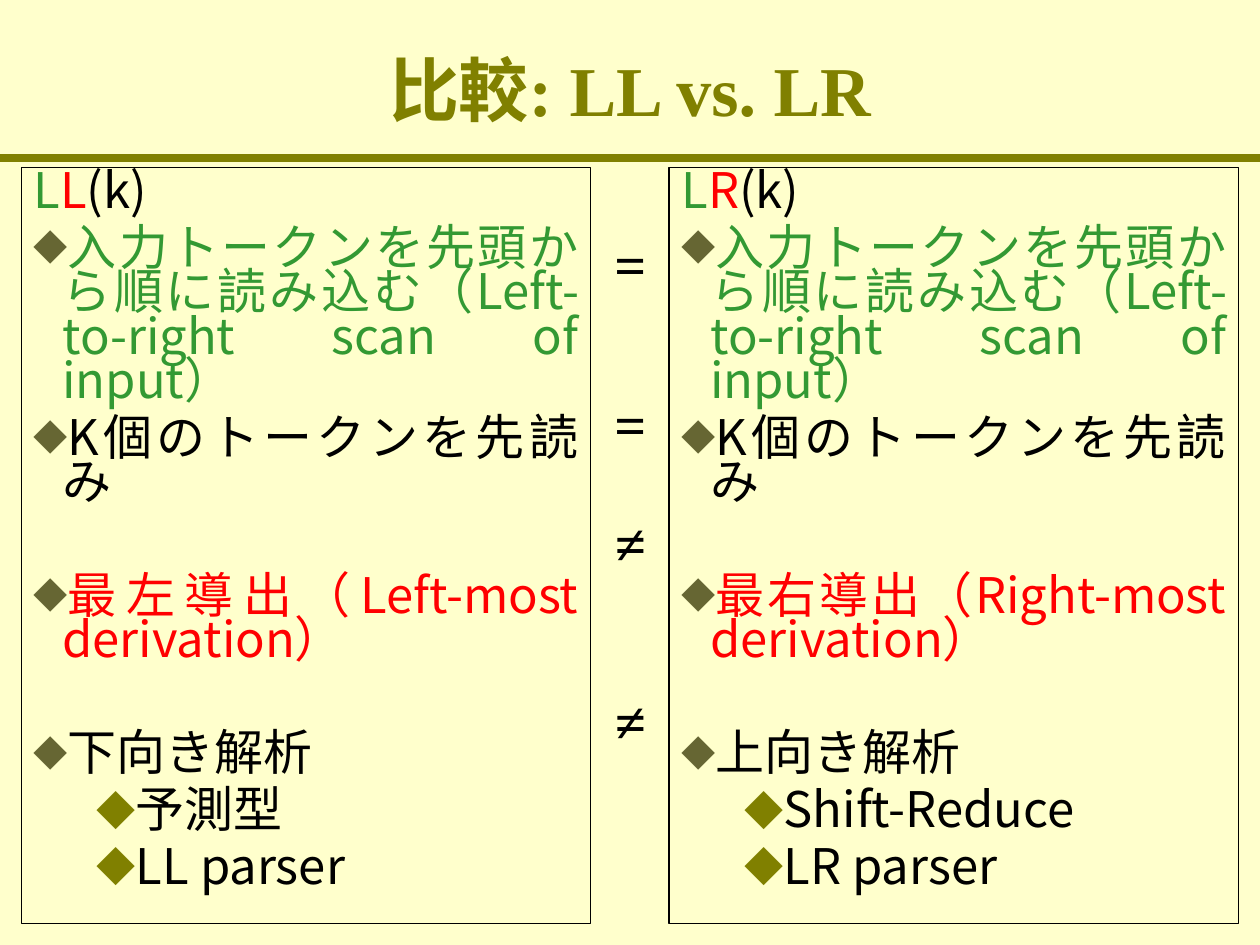
from dataclasses import dataclass

from lxml import etree
from pptx import Presentation
from pptx.dml.color import RGBColor
from pptx.enum.shapes import MSO_CONNECTOR, MSO_SHAPE
from pptx.enum.text import MSO_ANCHOR, MSO_AUTO_SIZE, PP_ALIGN
from pptx.oxml.ns import qn
from pptx.util import Cm, Pt

RECTANGLE = MSO_SHAPE.RECTANGLE
STRAIGHT = MSO_CONNECTOR.STRAIGHT
TOP, MIDDLE = MSO_ANCHOR.TOP, MSO_ANCHOR.MIDDLE
CENTER, JUSTIFY = PP_ALIGN.CENTER, PP_ALIGN.JUSTIFY
GROW = MSO_AUTO_SIZE.SHAPE_TO_FIT_TEXT

SERIF, SANS = "Times New Roman", "Noto Sans CJK JP"
CREAM, OLIVE, DARK_OLIVE = "FFFFCC", "808000", "666633"
BLACK, GREEN, RED = "000000", "339933", "FF0000"

SLIDE_WIDTH, SLIDE_HEIGHT = 25.4, 19.05
PANEL_TOP, PANEL_WIDTH, PANEL_HEIGHT = 3.38, 11.48, 15.24
LINE_PITCH, GAP = 25.4, 7
WIDE_GAP = LINE_PITCH + 2 * GAP


@dataclass
class BulletStyle:
    margin: float
    hanging: float
    color: str
    percent: int


@dataclass
class Item:
    text: str
    color: str = BLACK
    level: int = 0
    gap: float = GAP


@dataclass
class Panel:
    left: float
    direction: str
    items: list[Item]


@dataclass
class Relation:
    symbol: str
    top: float


BULLETS = [
    BulletStyle(0.58, 0.58, DARK_OLIVE, 70),
    BulletStyle(2.06, 0.79, OLIVE, 80),
]


def make_panel(left: float, direction: str, derivation: str,
               analysis: str, methods: list[str]) -> Panel:
    items = [
        Item("入力トークンを先頭から順に読み込む（Left-to-right scan of input）", GREEN),
        Item("K個のトークンを先読み"),
        Item(derivation, RED, gap=WIDE_GAP),
        Item(analysis, gap=WIDE_GAP),
    ]
    return Panel(left, direction, items + [Item(method, level=1) for method in methods])


PANELS = [
    make_panel(0.43, "L", "最左導出（Left-most derivation）", "下向き解析",
               ["予測型", "LL parser"]),
    make_panel(13.49, "R", "最右導出（Right-most derivation）", "上向き解析",
               ["Shift-Reduce", "LR parser"]),
]
RELATIONS = [Relation("=", 4.5), Relation("=", 7.72),
             Relation("≠", 10.13), Relation("≠", 13.72)]


def rgb(color: str) -> RGBColor:
    return RGBColor.from_string(color)


def set_font(paragraph, name: str, size: float, color: str, bold: bool = False) -> None:
    font = paragraph.font
    font.name, font.size, font.bold = name, Pt(size), bold
    font.color.rgb = rgb(color)
    properties = paragraph._p.pPr.find(qn("a:defRPr"))
    etree.SubElement(properties, qn("a:ea"), typeface=SANS)


def set_bullet(paragraph, style: BulletStyle) -> None:
    properties = paragraph._p.get_or_add_pPr()
    properties.set("marL", str(Cm(style.margin)))
    properties.set("indent", str(-Cm(style.hanging)))
    bullet_color = etree.SubElement(properties, qn("a:buClr"))
    etree.SubElement(bullet_color, qn("a:srgbClr"), val=style.color)
    etree.SubElement(properties, qn("a:buSzPct"), val=str(style.percent * 1000))
    etree.SubElement(properties, qn("a:buFont"), typeface=SANS)
    etree.SubElement(properties, qn("a:buChar"), char="◆")


def draw_title(slide, text: str) -> None:
    title = slide.shapes.title
    title.left, title.top = Cm(0), Cm(0.2)
    title.width, title.height = Cm(SLIDE_WIDTH), Cm(3.18)
    frame = title.text_frame
    frame.text = text
    frame.vertical_anchor = MIDDLE
    paragraph = frame.paragraphs[0]
    paragraph.alignment = CENTER
    set_font(paragraph, SERIF, 40, OLIVE, bold=True)


def draw_rule(slide, top: float) -> None:
    rule = slide.shapes.add_connector(STRAIGHT, Cm(0), Cm(top), Cm(SLIDE_WIDTH), Cm(top))
    rule.line.color.rgb = rgb(OLIVE)
    rule.line.width = Pt(4.5)
    etree.SubElement(rule._element.spPr, qn("a:effectLst"))


def draw_panel(slide, panel: Panel) -> None:
    shape = slide.shapes.add_shape(RECTANGLE, Cm(panel.left), Cm(PANEL_TOP),
                                   Cm(PANEL_WIDTH), Cm(PANEL_HEIGHT))
    shape.shadow.inherit = False
    shape.fill.background()
    shape.line.color.rgb = rgb(BLACK)
    shape.line.width = Pt(0.75)
    frame = shape.text_frame
    frame.word_wrap = True
    frame.vertical_anchor = TOP

    # Heading with one colour per letter
    heading = frame.paragraphs[0]
    heading.alignment = JUSTIFY
    heading.line_spacing = Pt(LINE_PITCH)
    set_font(heading, SANS, 28, BLACK)
    for text, color in [("L", GREEN), (panel.direction, RED), ("(k)", BLACK)]:
        run = heading.add_run()
        run.text = text
        run.font.color.rgb = rgb(color)

    # Bulleted properties
    for item in panel.items:
        paragraph = frame.add_paragraph()
        paragraph.text = item.text
        paragraph.level = item.level
        paragraph.alignment = JUSTIFY
        paragraph.line_spacing = Pt(LINE_PITCH)
        paragraph.space_before = Pt(item.gap)
        set_bullet(paragraph, BULLETS[item.level])
        set_font(paragraph, SANS, 28, item.color)


def draw_relation(slide, relation: Relation) -> None:
    box = slide.shapes.add_textbox(Cm(11.91), Cm(relation.top), Cm(1.6), Cm(1.63))
    frame = box.text_frame
    frame.word_wrap = True
    frame.auto_size = GROW
    frame.text = relation.symbol
    paragraph = frame.paragraphs[0]
    paragraph.alignment = CENTER
    set_font(paragraph, SERIF, 32, BLACK, bold=True)


def main() -> None:
    presentation = Presentation()
    presentation.slide_width = Cm(SLIDE_WIDTH)
    presentation.slide_height = Cm(SLIDE_HEIGHT)
    slide = presentation.slides.add_slide(presentation.slide_layouts[5])
    slide.background.fill.solid()
    slide.background.fill.fore_color.rgb = rgb(CREAM)

    # Heading area
    draw_rule(slide, 3.18)
    draw_title(slide, "比較: LL vs. LR")

    # Two parser classes and how their properties relate
    for panel in PANELS:
        draw_panel(slide, panel)
    for relation in RELATIONS:
        draw_relation(slide, relation)

    presentation.save("out.pptx")


if __name__ == "__main__":
    main()
